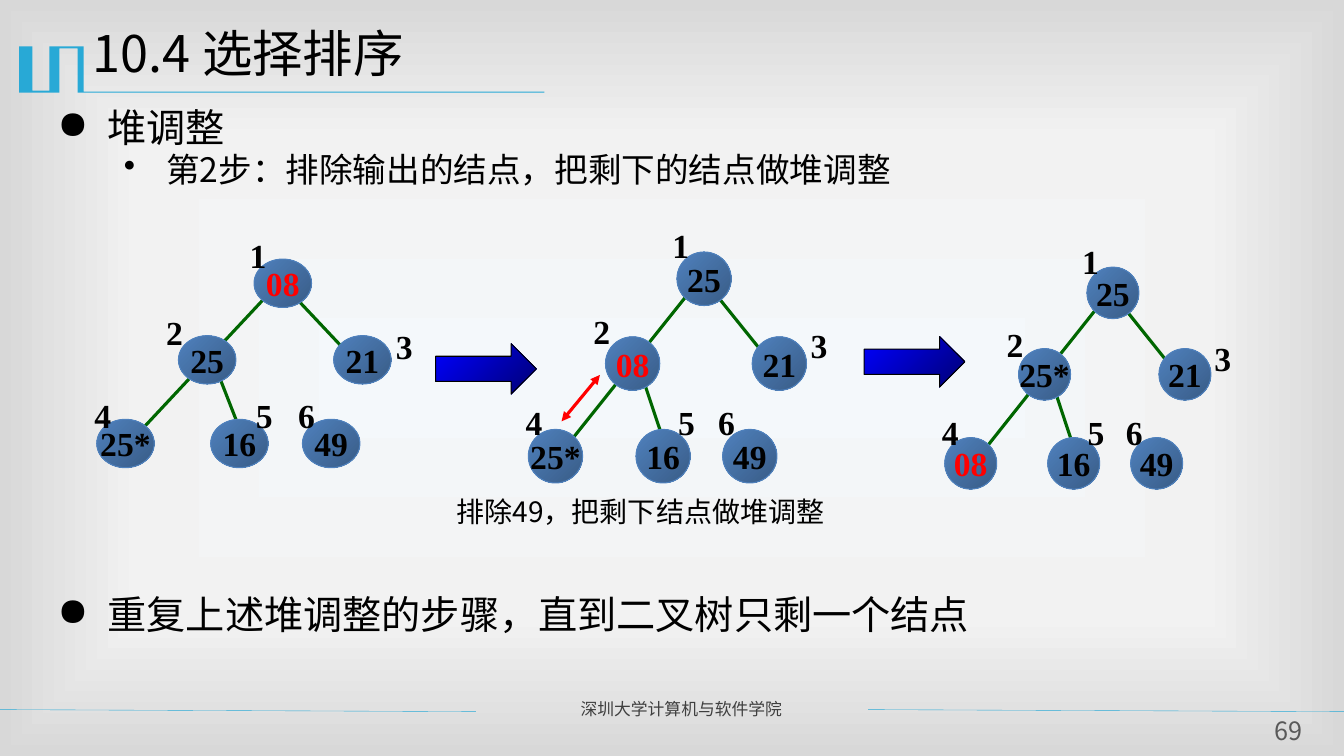
from pptx import Presentation
from pptx.dml.color import RGBColor
from pptx.enum.shapes import MSO_CONNECTOR, MSO_SHAPE
from pptx.enum.text import MSO_ANCHOR, MSO_AUTO_SIZE, PP_ALIGN
from pptx.oxml import parse_xml
from pptx.oxml.ns import nsdecls, qn
from pptx.util import Inches, Pt
from lxml.etree import SubElement

# Content
SANS, SERIF = "Noto Sans CJK SC", "Times New Roman"
BLACK, RED, GREEN, CYAN = "000000", "FF0000", "006600", "28A9D6"
TITLE = "10.4 选择排序"
BULLETS = [
    ("堆调整", "●", 28, 0.5, -0.5),
    ("第2步：排除输出的结点，把剩下的结点做堆调整", "•", 24, 1.08, -0.42),
]
LAST_BULLET = ("重复上述堆调整的步骤，直到二叉树只剩一个结点", "●", 28, 0.5, -0.5)
CAPTION = "排除49，把剩下结点做堆调整"
FOOTER = "深圳大学计算机与软件学院"
PAGE_NUMBER = "69"

# Heaps: left, top, horizontal scale, vertical scale, keys in heap order
HEAPS = [
    (0.96, 2.57, 1, 1, ["08", "25", "21", "25*", "16", "49"]),
    (5.24, 2.5, 0.945, 1.107, ["25", "08", "21", "25*", "16", "49"]),
    (9.37, 2.65, 0.904, 1.064, ["25", "25*", "21", "08", "16", "49"]),
]
MOVING_KEY = "08"

# Layout of one heap, relative to its left and top
NODE_WIDTH, NODE_HEIGHT = 0.57, 0.48
NODES = [(1.56, 0), (0.81, 0.76), (2.35, 0.76), (0, 1.59), (1.13, 1.59), (2.04, 1.59)]
# Centre and top of each index label
LABELS = [(1.6, -0.29), (0.77, 0.48), (3.05, 0.61), (0.06, 1.3), (1.66, 1.3), (2.08, 1.3)]
EDGES = [(1.94, 0.35, 2.59, 1.04), (1.22, 1.18, 1.38, 1.59), (1.7, 0.35, 0.41, 1.73)]
LABEL_WIDTH, LABEL_HEIGHT = 0.38, 0.5
STEP_ARROWS = [(4.32, 3.41), (8.57, 3.34)]
FOOTER_LINES = [(0, 4.72), (8.61, 13.33)]
EMBLEM = [(0.83, 0.46), (0.83, 0.91), (5.4, 0.91), (5.4, 0.92), (0.77, 0.92),
          (0.77, 0.48), (0.59, 0.48), (0.59, 0.92), (0.19, 0.92), (0.19, 0.46),
          (0.32, 0.46), (0.32, 0.9), (0.49, 0.9), (0.49, 0.46)]


def rgb(value):
    return RGBColor.from_string(value)


def write(para, text, size=24, font=SANS, color=BLACK, bold=False, align=PP_ALIGN.LEFT,
          spacing=0.9, margin=0, indent=0, bullet=None):
    props = para._p.get_or_add_pPr()
    props.set("marL", str(Inches(margin)))
    props.set("indent", str(Inches(indent)))
    if bullet:
        SubElement(props, qn("a:buChar")).set("char", bullet)
    para.alignment = align
    para.line_spacing = spacing
    span = para.add_run()
    span.text = text
    span.font.size = Pt(size)
    span.font.bold = bold
    span.font.color.rgb = rgb(color)
    span.font.name = font
    SubElement(span.font._element, qn("a:ea")).set("typeface", font)


def add_text(left, top, width, height, text=None, wrap=True, inset=None, **style):
    box = page.shapes.add_textbox(Inches(left), Inches(top), Inches(width), Inches(height))
    frame = box.text_frame
    frame.word_wrap = wrap
    if inset is not None:
        frame.margin_left = frame.margin_right = Inches(inset)
        frame.margin_top = frame.margin_bottom = Inches(inset)
    if text:
        write(frame.paragraphs[0], text, **style)
    return frame


def add_line(x1, y1, x2, y2, color, width, arrows=False):
    line = page.shapes.add_connector(
        MSO_CONNECTOR.STRAIGHT, Inches(x1), Inches(y1), Inches(x2), Inches(y2))
    line.line.color.rgb = rgb(color)
    line.line.width = Pt(width)
    if arrows:
        for end in ("a:headEnd", "a:tailEnd"):
            SubElement(line.line._get_or_add_ln(), qn(end)).set("type", "triangle")
    SubElement(line._element.spPr, qn("a:effectLst"))


def add_gradient_shape(kind, left, top, width, height, colors, outline):
    shape = page.shapes.add_shape(kind, Inches(left), Inches(top), Inches(width), Inches(height))
    shape.shadow.inherit = False
    shape.fill.gradient()
    shape.fill.gradient_angle = 315
    for stop, position, color in zip(shape.fill.gradient_stops, (0, 1), colors):
        stop.position = position
        stop.color.rgb = rgb(color)
    shape.line.color.rgb = rgb(outline)
    shape.line.width = Pt(0.75)
    return shape


def add_heap(left, top, scale_x, scale_y, keys):
    for x1, y1, x2, y2 in EDGES:
        add_line(left + x1 * scale_x, top + y1 * scale_y,
                 left + x2 * scale_x, top + y2 * scale_y, GREEN, 2.25)
    for key, (x, y) in zip(keys, NODES):
        node = add_gradient_shape(
            MSO_SHAPE.OVAL, left + x * scale_x, top + y * scale_y,
            NODE_WIDTH * scale_x, NODE_HEIGHT * scale_y, ("4F81BD", "395C87"), "4F81BD")
        node.text_frame.word_wrap = False
        node.text_frame.vertical_anchor = MSO_ANCHOR.MIDDLE
        write(node.text_frame.paragraphs[0], key, font=SERIF, bold=True, spacing=1.0,
              color=RED if key == MOVING_KEY else BLACK, align=PP_ALIGN.CENTER)
    for index, (x, y) in enumerate(LABELS, 1):
        add_text(left + x * scale_x - LABEL_WIDTH / 2, top + y * scale_y,
                 LABEL_WIDTH, LABEL_HEIGHT, str(index), font=SERIF, bold=True,
                 spacing=1.0, align=PP_ALIGN.CENTER)


deck = Presentation()
deck.slide_width, deck.slide_height = Inches(13.33), Inches(7.5)
page = deck.slides.add_slide(deck.slide_layouts[5])

# Background: gradient from the centre to the edges
page.background.fill.gradient()
gradient = page.element.find(".//" + qn("a:gradFill"))
stops = "".join(f'<a:gs pos="{position}"><a:srgbClr val="{color}"/></a:gs>' for position, color in
                [(0, "F4F8FB"), (63000, "F2F2F2"), (100000, "D8D8D8")])
gradient.getparent().replace(gradient, parse_xml(
    f'<a:gradFill {nsdecls("a")} rotWithShape="1"><a:gsLst>{stops}</a:gsLst><a:path path="rect">'
    '<a:fillToRect l="50000" t="50000" r="50000" b="50000"/></a:path></a:gradFill>'))

# Emblem with the title rule
points = [(Inches(x), Inches(y)) for x, y in EMBLEM]
builder = page.shapes.build_freeform(*points[0], scale=1.0)
builder.add_line_segments(points[1:], close=True)
emblem = builder.convert_to_shape()
emblem.shadow.inherit = False
emblem.fill.solid()
emblem.fill.fore_color.rgb = rgb(CYAN)
emblem.line.fill.background()

# Footer
for start, end in FOOTER_LINES:
    add_line(start, 7.04, end, 7.06, CYAN, 0.25)
add_text(5.66, 6.91, 2.85, 0.3, FOOTER, size=12, color="3F3F3F")
add_text(12.48, 7.13, 0.59, 0.31, PAGE_NUMBER, inset=0, size=18, color="595959",
         align=PP_ALIGN.CENTER)

# Title
title = page.shapes.title
title.left, title.top, title.width, title.height = map(Inches, (0.82, 0.24, 12, 0.87))
title.text_frame.auto_size = MSO_AUTO_SIZE.NONE
title.text_frame.vertical_anchor = MSO_ANCHOR.TOP
write(title.text_frame.paragraphs[0], TITLE, size=36)

# Bullets
body = add_text(0.47, 1.03, 12.13, 1.37)
for number, (text, mark, size, margin, indent) in enumerate(BULLETS):
    para = body.add_paragraph() if number else body.paragraphs[0]
    write(para, text, size=size, margin=margin, indent=indent, bullet=mark)
    if number:
        para.space_before = Pt(2)
text, mark, size, margin, indent = LAST_BULLET
add_text(0.47, 5.86, 12.13, 0.6, text, size=size, margin=margin, indent=indent, bullet=mark)

# Heaps, the arrows between them and the exchange of two nodes
add_text(3.93, 4.89, 4.57, 0.44, CAPTION, size=20, margin=1.06, indent=-0.56)
for heap in HEAPS:
    add_heap(*heap)
add_line(5.57, 4.18, 5.95, 3.72, RED, 2.25, arrows=True)
for left, top in STEP_ARROWS:
    add_gradient_shape(MSO_SHAPE.RIGHT_ARROW, left, top, 1, 0.5, ("0000FF", "000076"), BLACK)

deck.save("out.pptx")
